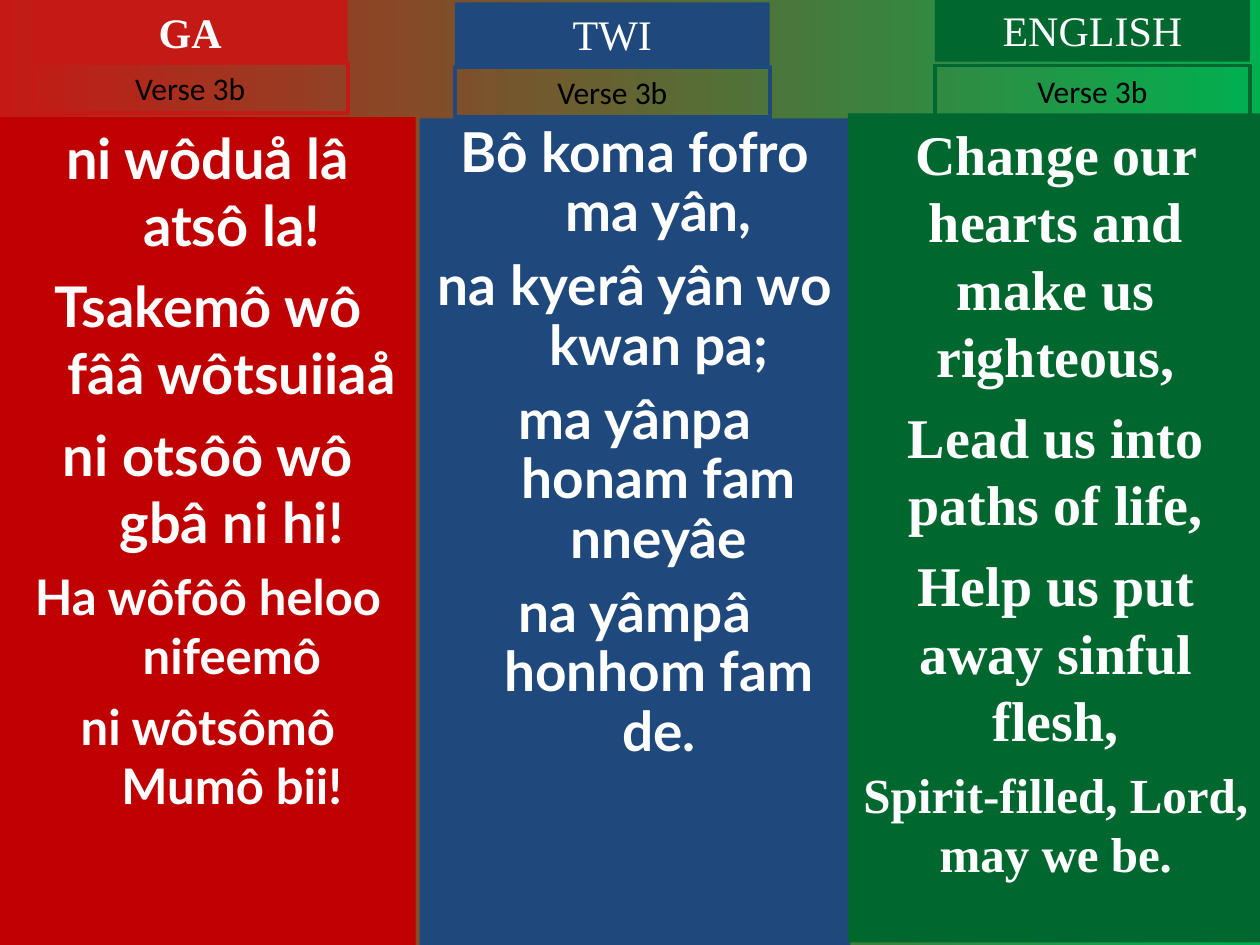
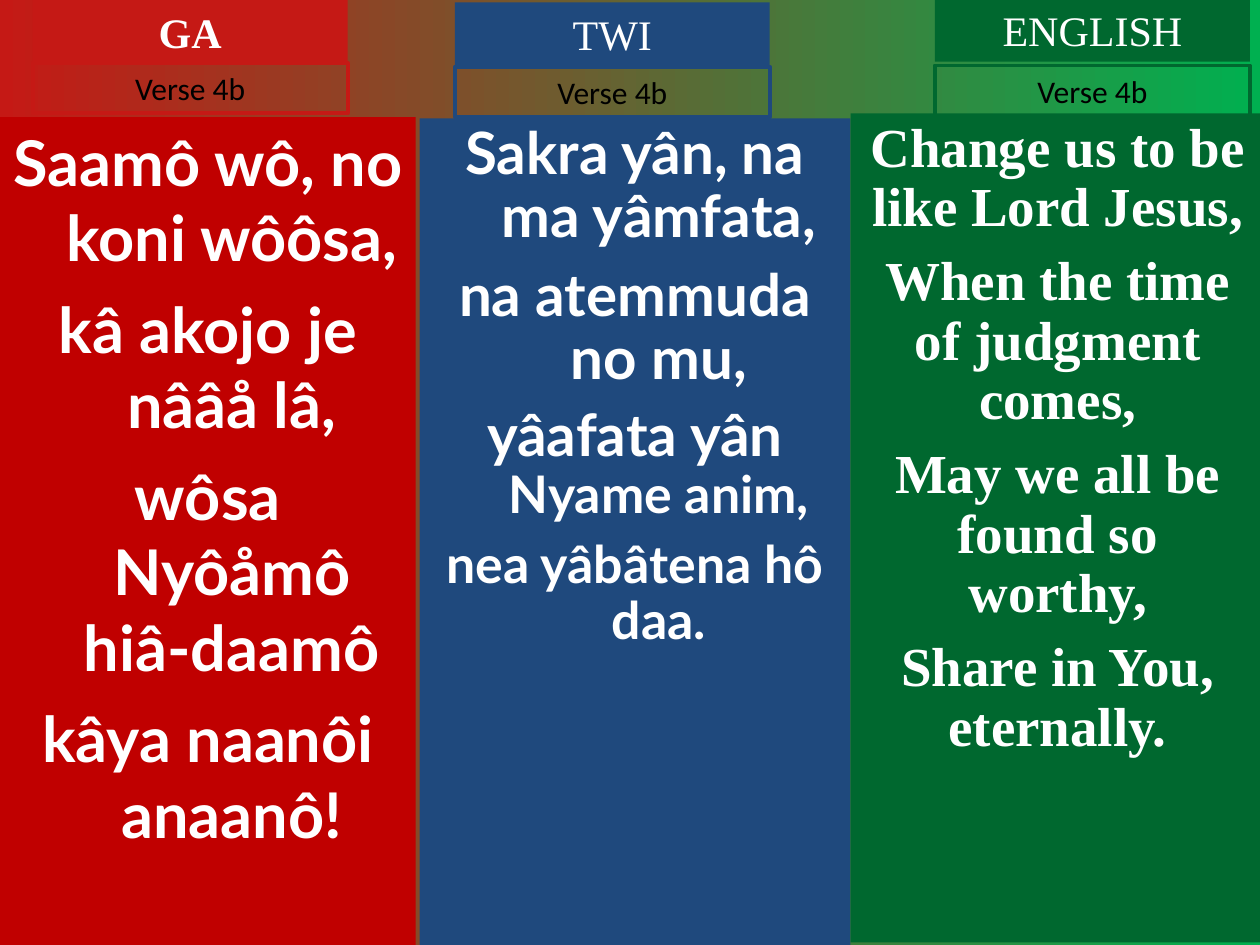
"""Build the two hymn slides with one column for each tongue."""
from dataclasses import dataclass
from typing import Any, NamedTuple, Optional

from pptx import Presentation
from pptx.dml.color import RGBColor
from pptx.enum.shapes import MSO_SHAPE
from pptx.enum.text import MSO_ANCHOR, MSO_AUTO_SIZE, PP_ALIGN
from pptx.util import Inches, Pt

WIDTH, HEIGHT = Inches(10), Inches(7.5)
COLS, ROWS = 1000, 750
RED, GREEN, WHITE, BLACK = "C51915", "00B050", "FFFFFF", "000000"
SERIF, SANS, PLAIN = "Times New Roman", "Lato", "Calibri"
HANG = Inches(0.38)


class Box(NamedTuple):
    """Hold a place in grid columns and rows."""
    left: int
    top: int
    width: int
    height: int


class Line(NamedTuple):
    """Hold one lyric line, with a smaller tail if it has one."""
    text: str
    size: float = 32
    gap: float = 8
    tail: str = ""
    small: float = 0


@dataclass(frozen=True)
class Tongue:
    """Hold the look of one column."""
    name: str
    hue: str
    panel: str
    font: str
    head: Box
    verse: Box
    bold: bool = False
    hang: bool = False


@dataclass(frozen=True)
class Part:
    """Hold the words of one column on one slide."""
    box: Box
    lines: tuple[Line, ...]
    pitch: Optional[float] = None


TONGUES = (
    Tongue("GA", RED, "C00000", SANS, Box(26, 0, 250, 50),
           Box(26, 50, 250, 40), bold=True, hang=True),
    Tongue("TWI", "1F497D", "1F497D", SANS, Box(361, 2, 250, 50),
           Box(361, 53, 250, 40), hang=True),
    Tongue("ENGLISH", "00682F", "00682F", SERIF, Box(742, -1, 250, 50),
           Box(742, 52, 250, 40)),
)
GA_BOX, TWI_BOX = Box(0, 93, 330, 657), Box(333, 94, 342, 656)
SONG = {
    "Verse 3b": (
        Part(GA_BOX, (
            Line("ni wôduå lâ atsô la!"),
            Line("Tsakemô wô fââ wôtsuiiaå"),
            Line("ni otsôô wô gbâ ni hi!"),
            Line("Ha wôfôô heloo nifeemô", 28, 7),
            Line("ni wôtsômô Mumô bii!", 28, 7))),
        Part(TWI_BOX, (
            Line("Bô koma fofro ma yân,", 31.4, 8.5),
            Line("na kyerâ yân wo kwan pa;", 31.4, 8.5),
            Line("ma yânpa honam fam nneyâe", 31.4, 8.5),
            Line("na yâmpâ honhom fam de.", 31.4, 8.5)), 0.9),
        Part(Box(673, 90, 330, 658), (
            Line("Change our hearts and make us righteous,"),
            Line("Lead us into paths of life,"),
            Line("Help us put away sinful flesh,"),
            Line("Spirit-filled, Lord, may we be.", 28, 7))),
    ),
    "Verse 4b": (
        Part(GA_BOX, (
            Line("Saamô wô, no koni wôôsa,", 36, 9),
            Line("kâ akojo je nââå lâ,", 36, 9),
            Line("wôsa Nyôåmô hiâ-daamô", 36, 9),
            Line("kâya naanôi anaanô!", 36, 9))),
        Part(TWI_BOX, (
            Line("Sakra yân, na ma yâmfata,", 33.3, 9),
            Line("na atemmuda no mu,", 33.3, 9),
            Line("yâafata yân ", 33.3, 8, "Nyame anim,", 29.6),
            Line("nea yâbâtena hô daa.", 29.6, 8)), 0.9),
        Part(Box(675, 90, 329, 658), (
            Line("Change us to be like Lord Jesus,", 31.4, 8.5),
            Line("When the time of judgment comes,", 31.4, 8.5),
            Line("May we all be found so worthy,", 31.4, 8.5),
            Line("Share in You, eternally.", 31.4, 8.5)), 0.9),
    ),
}


def tint(code: str) -> RGBColor:
    """Turn a hex string into a colour."""
    return RGBColor.from_string(code)


def apply(thing: Any, form: dict[str, Any]) -> None:
    """Set each format value on the thing."""
    for key, value in form.items():
        setattr(thing, key, value)


def add_box(slide: Any, box: Box, fill: str = "", edge: str = "",
            grow: bool = False) -> Any:
    """Draw a rectangle and return its text frame."""
    shape = slide.shapes.add_shape(
        MSO_SHAPE.RECTANGLE,
        WIDTH * box.left // COLS, HEIGHT * box.top // ROWS,
        WIDTH * box.width // COLS, HEIGHT * box.height // ROWS)
    shape.shadow.inherit = False
    for ink, code in ((shape.fill, fill), (shape.line.fill, edge)):
        if code:
            ink.solid()
            ink.fore_color.rgb = tint(code)
        else:
            ink.background()
    if edge:
        shape.line.width = Pt(2.25)
    fit = MSO_AUTO_SIZE.SHAPE_TO_FIT_TEXT if grow else MSO_AUTO_SIZE.NONE
    apply(shape.text_frame, {"word_wrap": True, "auto_size": fit,
                             "vertical_anchor": MSO_ANCHOR.TOP})
    return shape.text_frame


def add_run(para: Any, text: str, size: float, font: str, code: str,
            bold: bool) -> None:
    """Add one styled run to a paragraph."""
    run = para.add_run()
    run.text = text
    apply(run.font, {"size": Pt(size), "name": font, "bold": bold})
    run.font.color.rgb = tint(code)


def add_label(frame: Any, text: str, size: float, font: str, code: str,
              bold: bool = False) -> None:
    """Write one centred label."""
    para = frame.paragraphs[0]
    para.alignment = PP_ALIGN.CENTER
    add_run(para, text, size, font, code, bold)


def add_words(frame: Any, part: Part, tongue: Tongue) -> None:
    """Write the lyric lines of one column."""
    for rank, line in enumerate(part.lines):
        para = frame.add_paragraph() if rank else frame.paragraphs[0]
        if tongue.hang:
            props = para._p.get_or_add_pPr()
            props.set("marL", str(HANG))
            props.set("indent", str(-HANG))
        apply(para, {"alignment": PP_ALIGN.CENTER,
                     "line_spacing": part.pitch,
                     "space_before": Pt(line.gap if rank else 0)})
        for text, size in ((line.text, line.size), (line.tail, line.small)):
            if text:
                add_run(para, text, size, tongue.font, WHITE, True)


def add_slide(deck: Any, verse: str, parts: tuple[Part, ...]) -> None:
    """Build one slide of three columns."""
    slide = deck.slides.add_slide(deck.slide_layouts[6])
    ground = slide.background.fill
    ground.gradient()
    ground.gradient_angle = 0
    for stop, code, spot in zip(ground.gradient_stops, (RED, GREEN), (0, 1)):
        stop.color.rgb = tint(code)
        stop.position = spot
    for tongue, part in zip(TONGUES, parts):
        add_words(add_box(slide, part.box, tongue.panel), part, tongue)
        add_label(add_box(slide, tongue.head, tongue.hue, grow=True),
                  tongue.name, 24, SERIF, WHITE, tongue.bold)
        add_label(add_box(slide, tongue.verse, edge=tongue.hue, grow=True),
                  verse, 18, PLAIN, BLACK)


def main() -> None:
    """Build and save the deck."""
    deck = Presentation()
    apply(deck, {"slide_width": WIDTH, "slide_height": HEIGHT})
    for verse, parts in SONG.items():
        add_slide(deck, verse, parts)
    deck.save("out.pptx")


if __name__ == "__main__":
    main()
